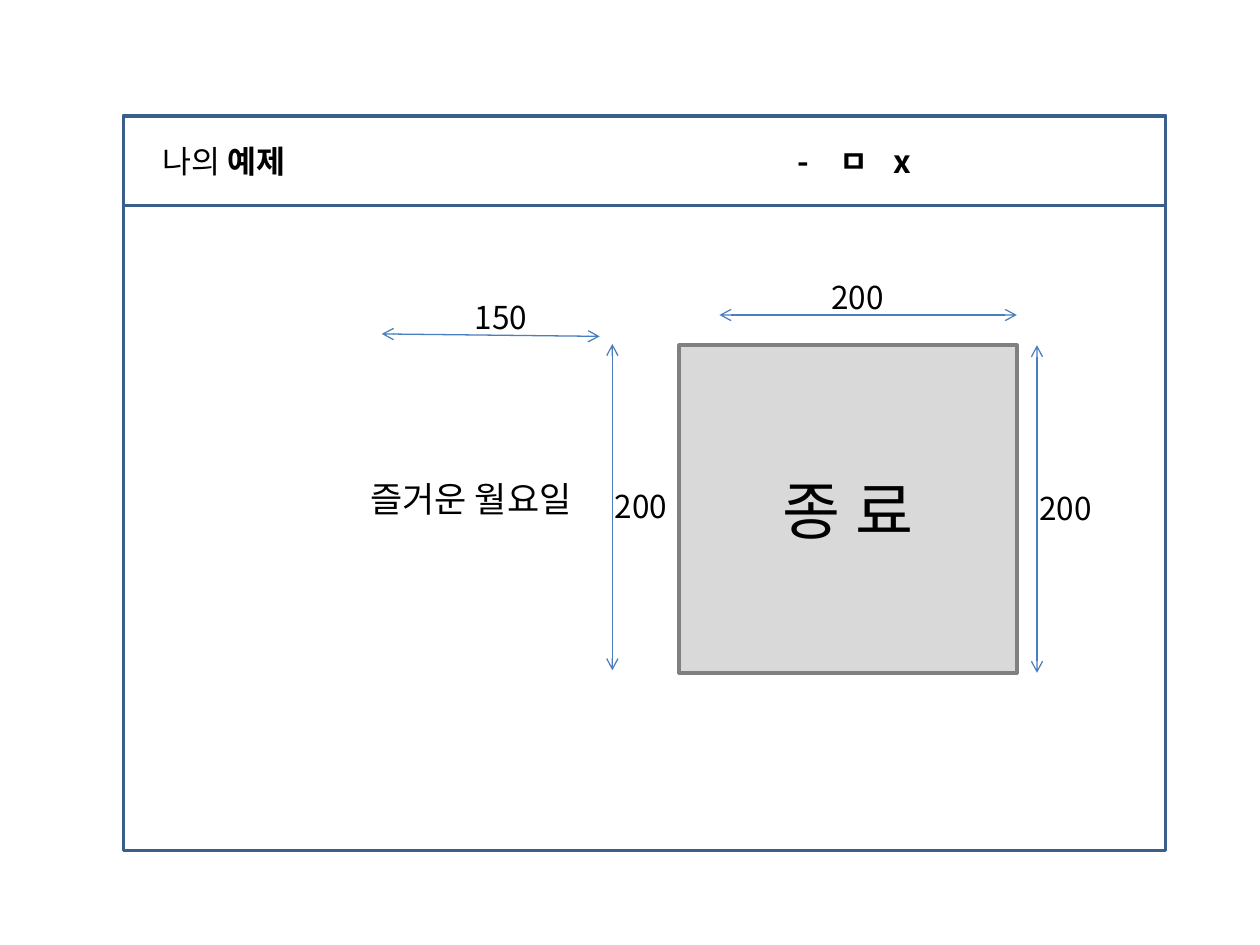
from dataclasses import dataclass

from lxml.etree import SubElement
from pptx import Presentation
from pptx.dml.color import RGBColor
from pptx.enum.shapes import MSO_CONNECTOR as Connector
from pptx.enum.shapes import MSO_SHAPE as Preset
from pptx.enum.text import MSO_ANCHOR as Anchor
from pptx.enum.text import MSO_AUTO_SIZE as AutoSize
from pptx.enum.text import PP_ALIGN as Align
from pptx.oxml.ns import qn
from pptx.util import Inches, Pt


@dataclass(frozen=True)
class Theme:
    font: str = "Noto Sans CJK KR"
    ink: str = "000000"
    frame: str = "3A5F8C"
    button_fill: str = "D9D9D9"
    button_edge: str = "808080"
    arrow: str = "4B7EBC"
    body: int = 18
    message: int = 20
    button: int = 36
    edge_width: float = 2
    arrow_width: float = 0.75


THEME = Theme()
TITLE_TABS = (5.04, 5.37, 5.8)


def write(frame, text, *, size=THEME.body, bold=False, align=Align.LEFT):
    paragraph = frame.paragraphs[0]
    paragraph.alignment = align
    run = paragraph.add_run()
    run.text = text
    font = run.font
    font.name, font.size, font.bold = THEME.font, Pt(size), bold
    font.color.rgb = RGBColor.from_string(THEME.ink)
    SubElement(font._element, qn("a:ea"), typeface=THEME.font)


def add_panel(slide, left, top, width, height, edge, fill=None):
    panel = slide.shapes.add_shape(
        Preset.RECTANGLE, Inches(left), Inches(top), Inches(width), Inches(height)
    )
    panel.shadow.inherit = False
    if fill:
        panel.fill.solid()
        panel.fill.fore_color.rgb = RGBColor.from_string(fill)
    else:
        panel.fill.background()
    panel.line.color.rgb = RGBColor.from_string(edge)
    panel.line.width = Pt(THEME.edge_width)
    panel.text_frame.vertical_anchor = Anchor.MIDDLE
    return panel


def add_label(slide, text, left, top, width=0.62, height=0.4, **style):
    label = slide.shapes.add_textbox(
        Inches(left), Inches(top), Inches(width), Inches(height)
    )
    label.text_frame.word_wrap = False
    label.text_frame.auto_size = AutoSize.SHAPE_TO_FIT_TEXT
    write(label.text_frame, text, **style)


def add_dimension(slide, start, end):
    arrow = slide.shapes.add_connector(
        Connector.STRAIGHT, *(Inches(value) for value in start + end)
    )
    arrow.line.color.rgb = RGBColor.from_string(THEME.arrow)
    arrow.line.width = Pt(THEME.arrow_width)
    outline = arrow.line._get_or_add_ln()
    for tip in ("a:headEnd", "a:tailEnd"):
        SubElement(outline, qn(tip), type="arrow")
    SubElement(arrow._element.spPr, qn("a:effectLst"))


def add_title_bar(slide, left, top, width):
    title = add_panel(slide, left, top, width, 0.71, THEME.frame).text_frame
    title.margin_left = Inches(0.31)
    tabs = SubElement(title.paragraphs[0]._p.get_or_add_pPr(), qn("a:tabLst"))
    for position in TITLE_TABS:
        SubElement(tabs, qn("a:tab"), pos=str(Inches(position)), algn="l")
    write(title, "나의")
    write(title, " 예제\t-\tㅁ\tx", bold=True)


def main():
    deck = Presentation()
    deck.slide_width, deck.slide_height = Inches(10), Inches(7.5)
    slide = deck.slides.add_slide(deck.slide_layouts[6])

    left, top, width = 0.98, 0.92, 8.27
    add_panel(slide, left, top, width, 5.83, THEME.frame)
    add_title_bar(slide, left, top, width)

    button = add_panel(
        slide, 5.39, 2.74, 2.68, 2.6, THEME.button_edge, THEME.button_fill
    )
    write(button.text_frame, "종 료", size=THEME.button, align=Align.CENTER)
    add_label(slide, "즐거운 월요일", 2.84, 3.74, 1.98, 0.44, size=THEME.message)

    dimensions = (
        ("200", (6.5, 2.16), (5.71, 2.5), (8.07, 2.5)),
        ("200", (8.15, 3.83), (8.23, 2.74), (8.23, 5.34)),
        ("200", (4.78, 3.82), (4.86, 2.73), (4.86, 5.32)),
        ("150", (3.67, 2.32), (3.03, 2.65), (4.76, 2.67)),
    )
    for length, corner, start, end in dimensions:
        add_label(slide, length, *corner)
        add_dimension(slide, start, end)

    deck.save("out.pptx")


if __name__ == "__main__":
    main()
